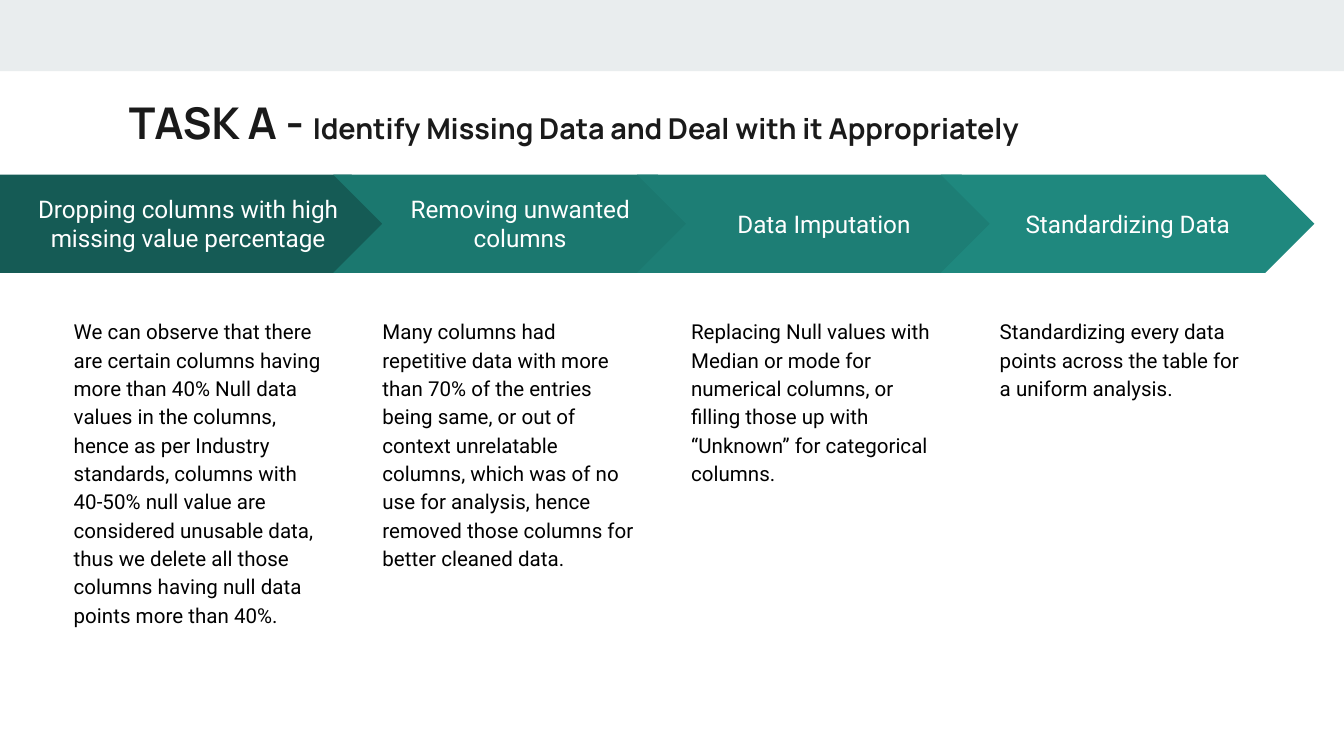
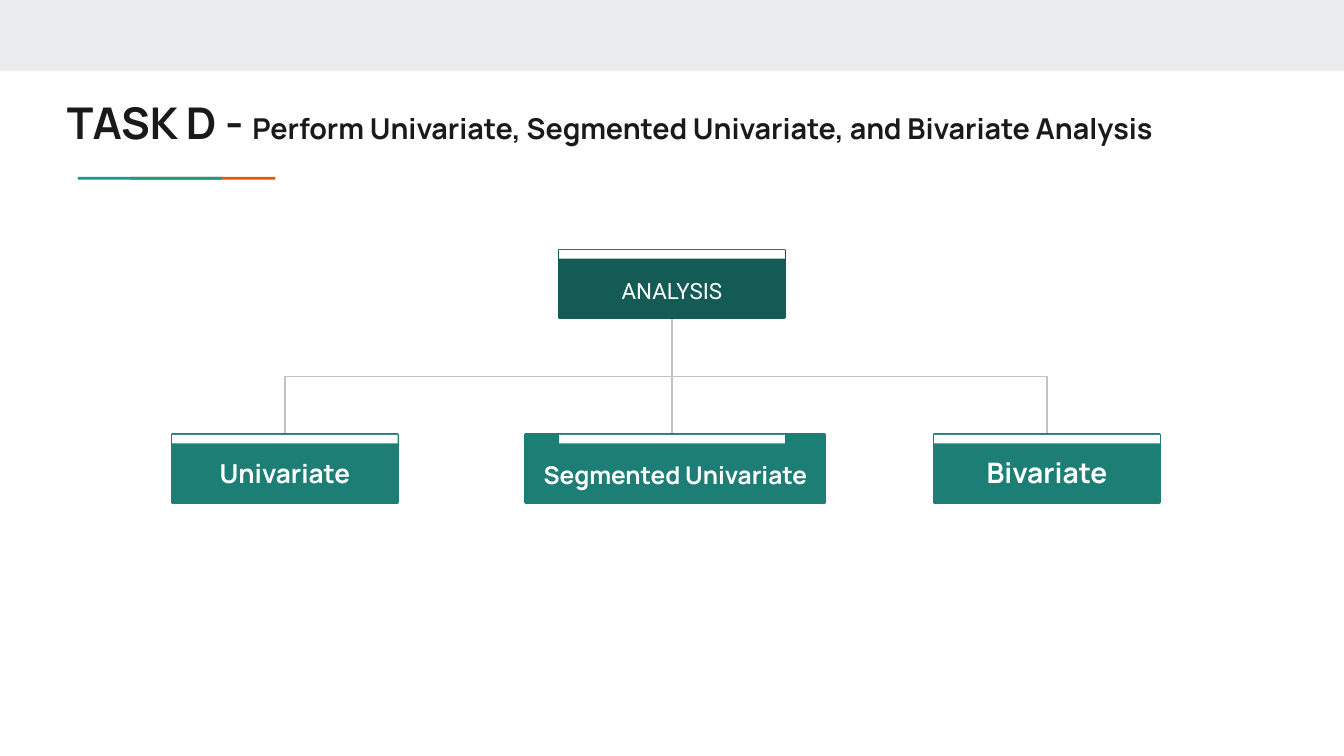
from dataclasses import dataclass

from lxml import etree
from pptx import Presentation
from pptx import util as u
from pptx.dml.color import RGBColor
from pptx.enum import shapes, text
from pptx.oxml.ns import qn

COLS, ROWS = 100, 56.25
SLIDE_W, SLIDE_H = u.Inches(10), u.Inches(5.625)
KIND = shapes.MSO_SHAPE


@dataclass(frozen=True)
class Theme:
    display: str = "Manrope"
    body: str = "Roboto"
    band: str = "E9EDEE"
    ink: str = "1A1A1A"
    black: str = "000000"
    white: str = "FFFFFF"
    orange: str = "EB5600"
    mint: str = "1A9988"
    deep: str = "155B55"
    teal: str = "1D7E75"
    steps: tuple = ("155B55", "1B786F", "1D7E75", "1F887E")
    wire: str = "C2C2C2"
    task_pt: float = 23.4
    title_pt: float = 15.4
    step_pt: float = 13
    note_pt: float = 11
    root_pt: float = 12
    univariate_pt: float = 14
    bivariate_pt: float = 15.1
    segmented_pt: float = 13.1
    border_pt: float = 1.5
    wire_pt: float = 0.75


T = Theme()


@dataclass(frozen=True)
class Box:
    """An area in grid cells."""
    x: float
    y: float
    w: float
    h: float

    def inner(self, dx, dy, w, h):
        return Box(self.x + dx, self.y + dy, w, h)

    @property
    def mid(self):
        return self.x + self.w / 2

    @property
    def bottom(self):
        return self.y + self.h

    def emu(self):
        return col(self.x), row(self.y), col(self.w), row(self.h)


def col(n):
    return u.Emu(round(SLIDE_W * n / COLS))


def row(n):
    return u.Emu(round(SLIDE_H * n / ROWS))


def rgb(color):
    return RGBColor.from_string(color)


def write(sp, runs, anchor, align=text.PP_ALIGN.LEFT, spacing=None):
    """Fill a shape with one paragraph of (words, size, font, colour, bold) runs."""
    tf = sp.text_frame
    tf.word_wrap = True
    tf.vertical_anchor = anchor
    tf.margin_left = tf.margin_right = tf.margin_top = tf.margin_bottom = u.Inches(0.1)
    p = tf.paragraphs[0]
    p.alignment = align
    if spacing:
        p.line_spacing = spacing
    for words, size, font, color, bold in runs:
        r = p.add_run()
        r.text = words
        r.font.size = u.Pt(size)
        r.font.name = font
        r.font.bold = bold
        r.font.color.rgb = rgb(color)


def block(s, box, fill, kind=KIND.RECTANGLE, border=None):
    sp = s.shapes.add_shape(kind, *box.emu())
    sp.shadow.inherit = False
    sp.fill.solid()
    sp.fill.fore_color.rgb = rgb(fill)
    if border:
        sp.line.color.rgb = rgb(border)
        sp.line.width = u.Pt(T.border_pt)
    else:
        sp.line.fill.background()
    return sp


def wire(s, kind, x1, y1, x2, y2):
    cx = s.shapes.add_connector(kind, col(x1), row(y1), col(x2), row(y2))
    cx.line.color.rgb = rgb(T.wire)
    cx.line.width = u.Pt(T.wire_pt)
    etree.SubElement(cx._element.spPr, qn("a:effectLst"))
    return cx


def drop_elbow(s, x1, y1, x2, y2):
    """Elbow that leaves downwards: a sideways elbow turned by 90 degrees."""
    mid_x, mid_y = (x1 + x2) / 2, (y1 + y2) / 2
    half_w, half_h = (y2 - y1) / 2, (x1 - x2) / 2
    cx = wire(s, shapes.MSO_CONNECTOR.ELBOW, mid_x - half_w, mid_y - half_h,
              mid_x + half_w, mid_y + half_h)
    cx._element.spPr.find(qn("a:xfrm")).set("rot", "5400000")


def base_slide(prs, title_x, task, subject):
    s = prs.slides.add_slide(prs.slide_layouts[6])
    block(s, Box(0, 0, COLS, 5.3), T.band)
    sp = s.shapes.add_textbox(*Box(title_x, 6.1, 84.1, 5.9).emu())
    write(sp, [(task, T.task_pt, T.display, T.ink, True),
               (subject, T.title_pt, T.display, T.ink, True)],
          text.MSO_ANCHOR.MIDDLE)
    return s


def title_rule(s, box):
    piece = box.w * 0.73
    block(s, box.inner(box.w - piece, 0, piece, box.h), T.orange)
    block(s, box.inner(0, 0, piece, box.h), T.mint)


def step_arrows(s, box, labels):
    pitch, width = 22.6, 27.8
    for i, (label, fill) in enumerate(zip(labels, T.steps)):
        if i == 0:
            kind, area = KIND.PENTAGON, box.inner(0, 0, 29.8, box.h)
        else:
            kind, area = KIND.CHEVRON, box.inner(2.2 + i * pitch, 0, width, box.h)
        sp = block(s, area, fill, kind)
        sp.adjustments[0] = 0.5
        write(sp, [(label, T.step_pt, T.body, T.white, False)],
              text.MSO_ANCHOR.MIDDLE, text.PP_ALIGN.CENTER)


def step_notes(s, box, notes):
    width = 20.8
    pitch = (box.w - width) / (len(notes) - 1)
    for i, note in enumerate(notes):
        sp = s.shapes.add_textbox(*box.inner(i * pitch, 0, width, box.h).emu())
        write(sp, [(note, T.note_pt, T.body, T.black, False)],
              text.MSO_ANCHOR.TOP, spacing=1.15)


def node(s, box, strip_x, label, size, font, fill, bold=True):
    """Labelled box with a white strip along its top."""
    sp = block(s, box, fill, border=fill)
    write(sp, [(label, size, font, T.white, bold)],
          text.MSO_ANCHOR.BOTTOM, text.PP_ALIGN.CENTER)
    block(s, Box(strip_x, box.y, 16.8, 0.65), T.white)


def analysis_tree(s, box):
    width, height = 16.8, 5.05
    root = box.inner(28.8, 0, width, height)
    child_y = box.h - height
    left = box.inner(0, child_y, width, height)
    right = box.inner(box.w - width, child_y, width, height)
    middle = box.inner(26.3, child_y, 22.3, height)

    for child in (right, left):
        drop_elbow(s, root.mid, root.bottom, child.mid, child.y)
    wire(s, shapes.MSO_CONNECTOR.STRAIGHT, root.mid,
         (root.bottom + middle.y) / 2, root.mid, middle.y)

    node(s, root, root.x, "ANALYSIS", T.root_pt, T.body, T.deep, bold=False)
    for area, strip_x, label, size in (
            (left, left.x, "Univariate", T.univariate_pt),
            (right, right.x, "Bivariate", T.bivariate_pt),
            (middle, root.x, "Segmented Univariate", T.segmented_pt)):
        node(s, area, strip_x, label, size, T.display, T.teal)


def cleaning_slide(prs):
    s = base_slide(prs, 8.6, "TASK A - ",
                   "Identify Missing Data and Deal with it Appropriately")
    steps = [
        ("Dropping columns with high missing value percentage",
         "We can observe that there are certain columns having more than 40% "
         "Null data values in the columns, hence as per Industry standards, "
         "columns with 40-50% null value are considered unusable data, thus we "
         "delete all those columns having null data points more than 40%."),
        ("Removing unwanted columns",
         "Many columns had repetitive data with more than 70% of the entries "
         "being same, or out of context unrelatable columns, which was of no "
         "use for analysis, hence removed those columns for better cleaned data."),
        ("Data Imputation",
         "Replacing Null values with Median or mode for numerical columns, or "
         "filling those up with “Unknown” for categorical columns."),
        ("Standardizing Data",
         "Standardizing every data points across the table for a uniform analysis."),
    ]
    labels, notes = zip(*steps)
    step_arrows(s, Box(0, 13, 97.8, 7.3), labels)
    step_notes(s, Box(4.5, 22.5, 89.7, 28.6), notes)


def analysis_slide(prs):
    s = base_slide(prs, 4, "TASK D - ",
                   "Perform Univariate, Segmented Univariate, and Bivariate Analysis")
    title_rule(s, Box(5.8, 13.17, 14.7, 0.2))
    analysis_tree(s, Box(12.8, 18.6, 73.5, 18.8))


def main():
    prs = Presentation()
    prs.slide_width, prs.slide_height = SLIDE_W, SLIDE_H
    cleaning_slide(prs)
    analysis_slide(prs)
    prs.save("out.pptx")


if __name__ == "__main__":
    main()
